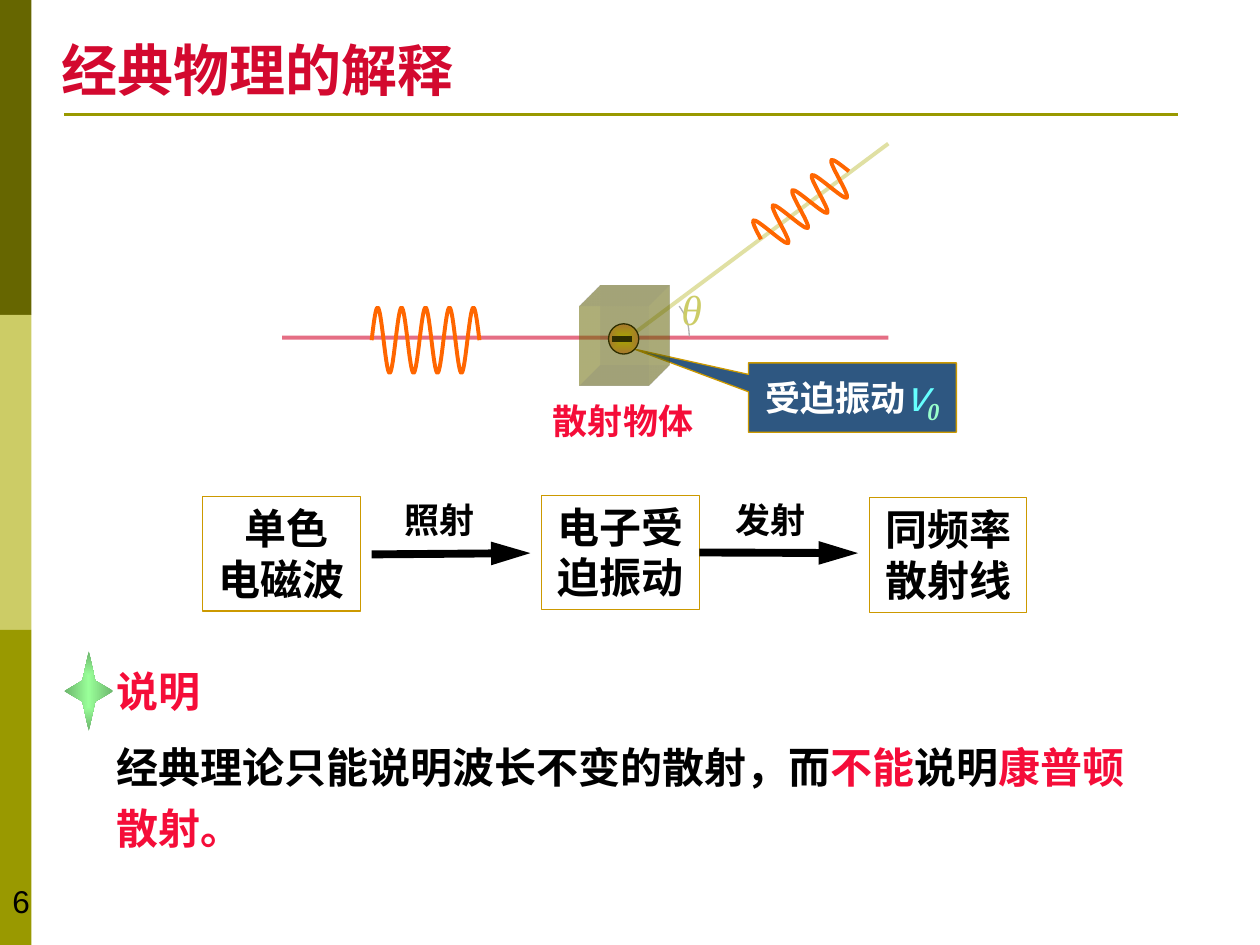
from math import cos, pi, sin
from lxml.etree import SubElement
from pptx import Presentation
from pptx.dml.color import RGBColor
from pptx.enum.shapes import MSO_CONNECTOR, MSO_SHAPE
from pptx.enum.text import MSO_ANCHOR, MSO_AUTO_SIZE, PP_ALIGN
from pptx.oxml.ns import qn
from pptx.util import Inches, Pt

SERIF = "Times New Roman"
SANS = "Noto Sans CJK SC"
RED = "F50D39"
GOLD = "CC9900"


def paint(fill, color):
    fill.solid()
    fill.fore_color.rgb = RGBColor.from_string(color)


def write(shape, runs, size, font=SERIF, bold=True, wrap=True, align=PP_ALIGN.LEFT):
    frame = shape.text_frame
    frame.word_wrap = wrap
    frame.auto_size = MSO_AUTO_SIZE.NONE
    para = frame.paragraphs[0]
    para.alignment = align
    for text, color in runs:
        run = para.add_run()
        run.text = text
        run.font.size = Pt(size)
        run.font.name = font
        run.font.bold = bold
        paint(run.font.fill, color)
        east = SubElement(run.font._element, qn("a:ea"))
        east.set("typeface", SANS)
    return para


deck = Presentation()
deck.slide_width = Inches(10)
deck.slide_height = Inches(7.5)
slide = deck.slides.add_slide(deck.slide_layouts[5])
shapes = slide.shapes

for row, color in enumerate(["666600", "CCCC66", "999900"]):
    band = shapes.add_shape(MSO_SHAPE.RECTANGLE, 0, Inches(2.5 * row), Inches(0.25), Inches(2.5))
    band.shadow.inherit = False
    paint(band.fill, color)
    band.line.fill.background()

title = shapes.title
title.left, title.top = Inches(0.39), Inches(0.23)
title.width, title.height = Inches(3.36), Inches(0.64)
title.text_frame.vertical_anchor = MSO_ANCHOR.MIDDLE
write(title, [("经典物理的解释", "D3092F")], 32, wrap=False)

boxes = []
for left, top, runs in [
    (1.61, 3.94, [(" ", "FFFFFF"), ("单色电磁波", "000000")]),
    (4.3, 3.93, [("电子受迫振动", "000000")]),
    (6.9, 3.95, [("同频率散射线", "000000")]),
]:
    box = shapes.add_shape(MSO_SHAPE.RECTANGLE, Inches(left), Inches(top), Inches(1.25), Inches(0.91))
    box.shadow.inherit = False
    box.fill.background()
    paint(box.line.fill, GOLD)
    box.line.width = Pt(0.75)
    box.text_frame.vertical_anchor = MSO_ANCHOR.TOP
    write(box, runs, 24, align=PP_ALIGN.CENTER)
    boxes.append(box)

lines = []
for x1, y1, x2, y2, color, width, alpha in [
    (0.51, 0.91, 9.35, 0.91, "999900", 1.5, 100),
    (2.24, 2.68, 7.05, 2.68, "D3092F", 2.25, 59),
    (5, 2.67, 7.05, 1.14, "CCCC66", 2.25, 60),
    (2.95, 4.4, 4.21, 4.39, "000000", 4.5, 100),
    (5.55, 4.39, 6.81, 4.39, "000000", 4.5, 100),
    (4.86, 2.69, 5.02, 2.69, "000000", 3, 100),
]:
    line = shapes.add_connector(MSO_CONNECTOR.STRAIGHT, Inches(x1), Inches(y1), Inches(x2), Inches(y2))
    paint(line.line.fill, color)
    line.line.width = Pt(width)
    props = line._element.spPr
    if alpha < 100:
        SubElement(next(props.iter(qn("a:srgbClr"))), qn("a:alpha")).set("val", str(alpha * 1000))
    SubElement(props, qn("a:effectLst"))
    lines.append(line)
for line in lines[3:5]:
    tail = SubElement(line.line._get_or_add_ln(), qn("a:tailEnd"))
    tail.set("type", "triangle")
    tail.set("w", "med")
    tail.set("len", "lg")
lines[4].begin_connect(boxes[1], 3)

arc = [(0, 5.39, 2.43, 0.08, 0.11), (1, 5.45, 2.54, 0.04, 0.12), (2, 5.47, 2.67, 0, 0.12)]
curves = [(arc, "B2B2B2", 0.75)]
for x, y, dx, dy, ax, ay in [
    (2.95, 2.7, 0.19, 0, 0, -0.26),
    (6.04, 1.9, 0.155, -0.12, -0.1, -0.12),
]:
    nodes = []
    for t in [0] + [0.25 + n / 2 for n in range(9)] + [4.5]:
        rise, slope = sin(2 * pi * t), 2 * pi * cos(2 * pi * t)
        nodes.append((t, x + dx * t + ax * rise, y + dy * t + ay * rise, dx + ax * slope, dy + ay * slope))
    curves.append((nodes, "FF6600", 2.25))
for nodes, color, width in curves:
    spots = [(Inches(x), Inches(y)) for t, x, y, vx, vy in nodes]
    pen = shapes.build_freeform(*spots[0])
    pen.add_line_segments(spots[1:], close=False)
    curve = pen.convert_to_shape()
    curve.shadow.inherit = False
    curve.fill.background()
    paint(curve.line.fill, color)
    curve.line.width = Pt(width)
    for step, old, new in zip(curve._element.spPr.iter(qn("a:lnTo")), nodes, nodes[1:]):
        step.tag = qn("a:cubicBezTo")
        step.clear()
        span = (new[0] - old[0]) / 3
        for px, py in [
            (old[1] + span * old[3], old[2] + span * old[4]),
            (new[1] - span * new[3], new[2] - span * new[4]),
            (new[1], new[2]),
        ]:
            spot = SubElement(step, qn("a:pt"))
            spot.set("x", str(Inches(px) - curve.left))
            spot.set("y", str(Inches(py) - curve.top))

call = shapes.add_shape(MSO_SHAPE.RECTANGULAR_CALLOUT, Inches(5.94), Inches(2.88), Inches(1.65), Inches(0.55))
call.adjustments[0], call.adjustments[1] = -1.05, -0.7
cube = shapes.add_shape(MSO_SHAPE.RECTANGLE, Inches(4.6), Inches(2.43), Inches(0.55), Inches(0.63))
for shape, color, alpha in [(call, "003366", 82), (cube, "808000", 32)]:
    shape.shadow.inherit = False
    paint(shape.fill, color)
    tint = next(shape._element.spPr.iter(qn("a:srgbClr")))
    SubElement(tint, qn("a:alpha")).set("val", str(alpha * 1000))
cube.line.fill.background()
scene = SubElement(cube._element.spPr, qn("a:scene3d"))
SubElement(scene, qn("a:camera")).set("prst", "legacyObliqueTopRight")
light = SubElement(scene, qn("a:lightRig"))
light.set("rig", "legacyFlat3")
light.set("dir", "b")
solid = SubElement(cube._element.spPr, qn("a:sp3d"))
solid.set("extrusionH", str(Inches(0.47)))
solid.set("prstMaterial", "legacyMatte")
for name in ("a:bevelT", "a:bevelB"):
    bevel = SubElement(solid, qn(name))
    bevel.set("w", "13500")
    bevel.set("h", "13500")
    bevel.set("prst", "angle")
SubElement(SubElement(solid, qn("a:extrusionClr")), qn("a:srgbClr")).set("val", "808000")
paint(call.line.fill, GOLD)
call.line.width = Pt(0.75)
call.text_frame.vertical_anchor = MSO_ANCHOR.MIDDLE
write(call, [("受迫振动", "FFFFFF")], 20, align=PP_ALIGN.CENTER)
write(call, [("v", "66FFFF")], 24, SANS, False, align=PP_ALIGN.CENTER)
para = write(call, [("0", "99FFCC")], 24, align=PP_ALIGN.CENTER)
for run in para.runs[1:]:
    run.font.italic = True
para.runs[2].font._element.set("baseline", "-22000")

ball = shapes.add_shape(MSO_SHAPE.OVAL, Inches(4.83), Inches(2.57), Inches(0.24), Inches(0.24))
star = shapes.add_shape(MSO_SHAPE.STAR_4_POINT, Inches(0.51), Inches(5.17), Inches(0.39), Inches(0.63))
star.adjustments[0] = 0.185
for shape, inner, outer in [(ball, "FFFF00", "FF9966"), (star, "99FF99", "6DB66D")]:
    shape.shadow.inherit = False
    shape.fill.gradient()
    for stop, place, color in zip(shape.fill.gradient_stops, (0, 1), (inner, outer)):
        stop.position = place
        stop.color.rgb = RGBColor.from_string(color)
    grad = shape._element.spPr.find(qn("a:gradFill"))
    grad.remove(grad.find(qn("a:lin")))
    focus = SubElement(grad, qn("a:path"))
    focus.set("path", "shape")
    rect = SubElement(focus, qn("a:fillToRect"))
    for side in "ltrb":
        rect.set(side, "50000")
star.line.fill.background()
paint(ball.line.fill, "000000")
ball.line.width = Pt(0.75)
shapes.add_group_shape([ball, lines[5]])
cube._element.getparent().append(cube._element)

note = [("经典理论只能说明波长不变的散射，而", "000000"), ("不能", RED), ("说明", "000000"), ("康普顿散射。", RED)]
for left, top, width, height, runs, size, font, bold, wrap in [
    (0, 6.95, 2.33, 0.4, [("6", "000000")], 18, "Arial", False, True),
    (3.11, 3.91, 0.76, 0.43, [("照射", "000000")], 20, SERIF, True, False),
    (5.74, 3.91, 0.76, 0.43, [("发射", "000000")], 20, SERIF, True, False),
    (4.29, 3.12, 1.32, 0.43, [("散射物体", RED)], 20, SERIF, True, False),
    (0.83, 5.23, 1.65, 0.5, [("说明", RED)], 24, SERIF, True, True),
    (5.31, 2.2, 0.53, 0.5, [("θ", "CCCC66")], 24, SERIF, False, False),
    (0.83, 5.76, 8.51, 1.06, note, 24, SANS, True, True),
]:
    area = shapes.add_textbox(Inches(left), Inches(top), Inches(width), Inches(height))
    para = write(area, runs, size, font, bold, wrap)
    if runs is note:
        para.line_spacing = 1.2
    para.runs[0].font.italic = runs[0][0] == "θ"

deck.save("out.pptx")
